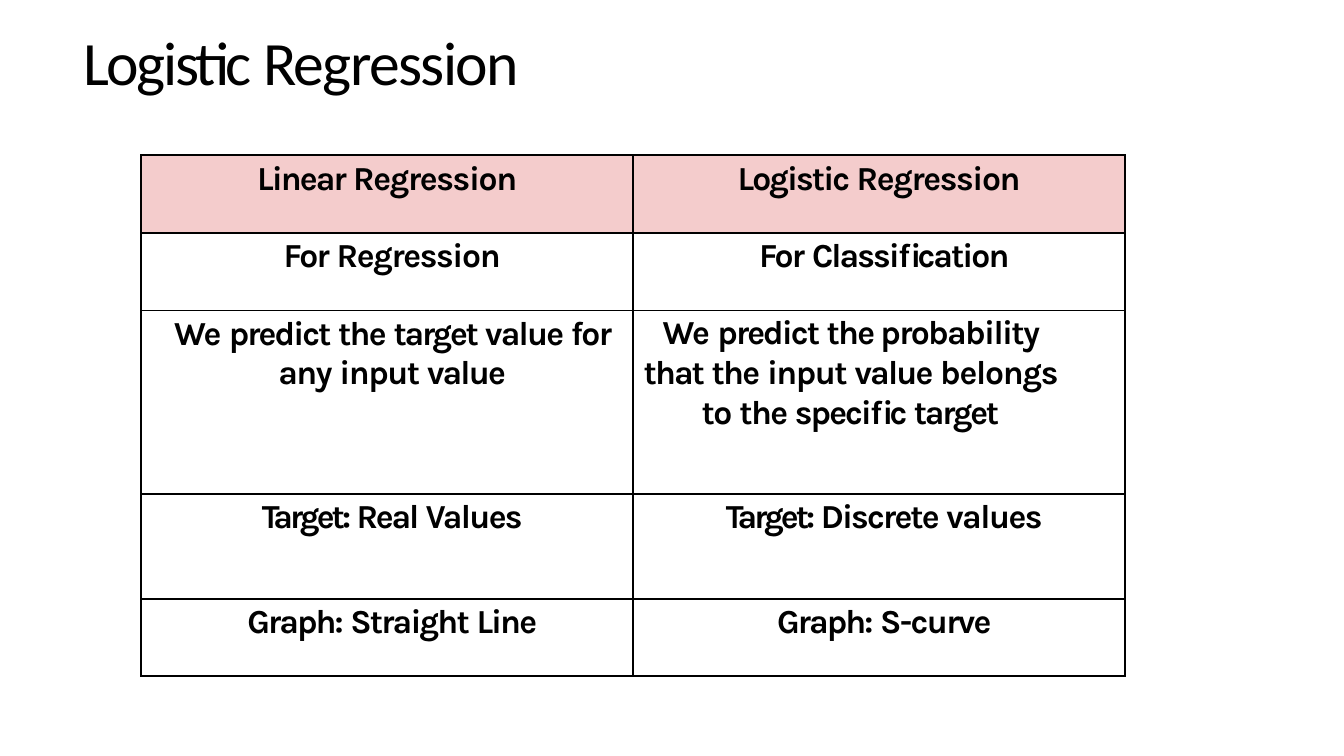
from lxml import etree
from pptx import Presentation
from pptx.dml.color import RGBColor
from pptx.enum.text import MSO_ANCHOR, PP_ALIGN
from pptx.oxml.ns import qn
from pptx.util import Pt

PX = 9144
MIDDLE = MSO_ANCHOR.MIDDLE
LEFT = PP_ALIGN.LEFT
CENTER = PP_ALIGN.CENTER
COLORS = {"text": "000000", "border": "000000", "header": "F4CCCC", "body": "FFFFFF"}

TITLE = [("Logistic ", -180), ("Regression", -120)]
COLUMN_WIDTH = 488
ROW_HEIGHTS = [77, 77, 182, 104, 77]
COMPARISON = [
    [
        [("Linear ", -140), ("Regression", -100)],
        [("Logistic ", -140), ("Regression", -100)],
    ],
    [
        [("For ", -120), ("Regression", -100)],
        [("For ", -120), ("Classification", -140)],
    ],
    [
        [("We ", -70), ("predict ", -140), ("the ", -120), ("target ", -160),
         ("value ", -130), ("for any ", -120), ("input ", -110), ("value", -130)],
        [("We ", -70), ("predict ", -140), ("the probability ", -120), ("that ", -140),
         ("the ", -120), ("input ", -110), ("value ", -130), ("belongs ", -90),
         ("to ", -110), ("the ", -120), ("specific ", -140), ("target", -160)],
    ],
    [
        [("Target: ", -210), ("Real ", -160), ("Values", -120)],
        [("Target: ", -210), ("Discrete ", -130), ("values", -110)],
    ],
    [
        [("Graph: ", -140), ("Straight ", -130), ("Line", -140)],
        [("Graph: ", -140), ("S-curve", -120)],
    ],
]
PROBABILITY_CELL = (2, 1)


def px(length):
    return length * PX


def write_spaced(paragraph, phrases, font_name, size, bold, align):
    paragraph.alignment = align
    for text, spacing in phrases:
        run = paragraph.add_run()
        run.text = text
        run.font.name = font_name
        run.font.size = Pt(size)
        run.font.bold = bold
        run.font.color.rgb = RGBColor.from_string(COLORS["text"])
        run._r.get_or_add_rPr().set("spc", str(spacing))


def add_title(slide):
    title = slide.shapes.add_textbox(px(82), px(22), px(517), px(75))
    frame = title.text_frame
    frame.word_wrap = True
    frame.vertical_anchor = MIDDLE
    frame.margin_left = px(1)
    frame.margin_top = px(1)
    frame.margin_right = frame.margin_bottom = 0
    write_spaced(frame.paragraphs[0], TITLE, "Calibri", 44, False, LEFT)


def add_borders(cell):
    properties = cell._tc.get_or_add_tcPr()
    for side in ("a:lnL", "a:lnR", "a:lnT", "a:lnB"):
        line = etree.SubElement(properties, qn(side), w=str(Pt(1.5)))
        fill = etree.SubElement(line, qn("a:solidFill"))
        etree.SubElement(fill, qn("a:srgbClr"), val=COLORS["border"])


def fill_cell(cell, phrases, is_header):
    add_borders(cell)
    cell.fill.solid()
    cell.fill.fore_color.rgb = RGBColor.from_string(COLORS["header" if is_header else "body"])
    cell.margin_left = cell.margin_right = cell.margin_bottom = 0
    cell.margin_top = px(4)
    paragraph = cell.text_frame.paragraphs[0]
    write_spaced(paragraph, phrases, "Karla", 24, True, CENTER)
    if not is_header:
        paragraph._p.get_or_add_pPr().set("marL", str(px(10)))


def narrow_text(cell):
    cell.margin_top = px(3)
    paragraph = cell.text_frame.paragraphs[0]
    paragraph.line_spacing = 1.02
    paragraph._p.get_or_add_pPr().set("marR", str(px(67)))


def add_comparison(slide):
    frame = slide.shapes.add_table(
        len(COMPARISON), 2, px(140), px(154), px(2 * COLUMN_WIDTH), px(sum(ROW_HEIGHTS))
    )
    table = frame.table
    for column in table.columns:
        column.width = px(COLUMN_WIDTH)
    for row_index, (height, row) in enumerate(zip(ROW_HEIGHTS, COMPARISON)):
        table.rows[row_index].height = px(height)
        for column_index, phrases in enumerate(row):
            fill_cell(table.cell(row_index, column_index), phrases, row_index == 0)
    narrow_text(table.cell(*PROBABILITY_CELL))


def main():
    presentation = Presentation()
    presentation.slide_width = px(1333)
    presentation.slide_height = px(750)
    slide = presentation.slides.add_slide(presentation.slide_layouts[6])
    add_title(slide)
    add_comparison(slide)
    presentation.save("out.pptx")


if __name__ == "__main__":
    main()
